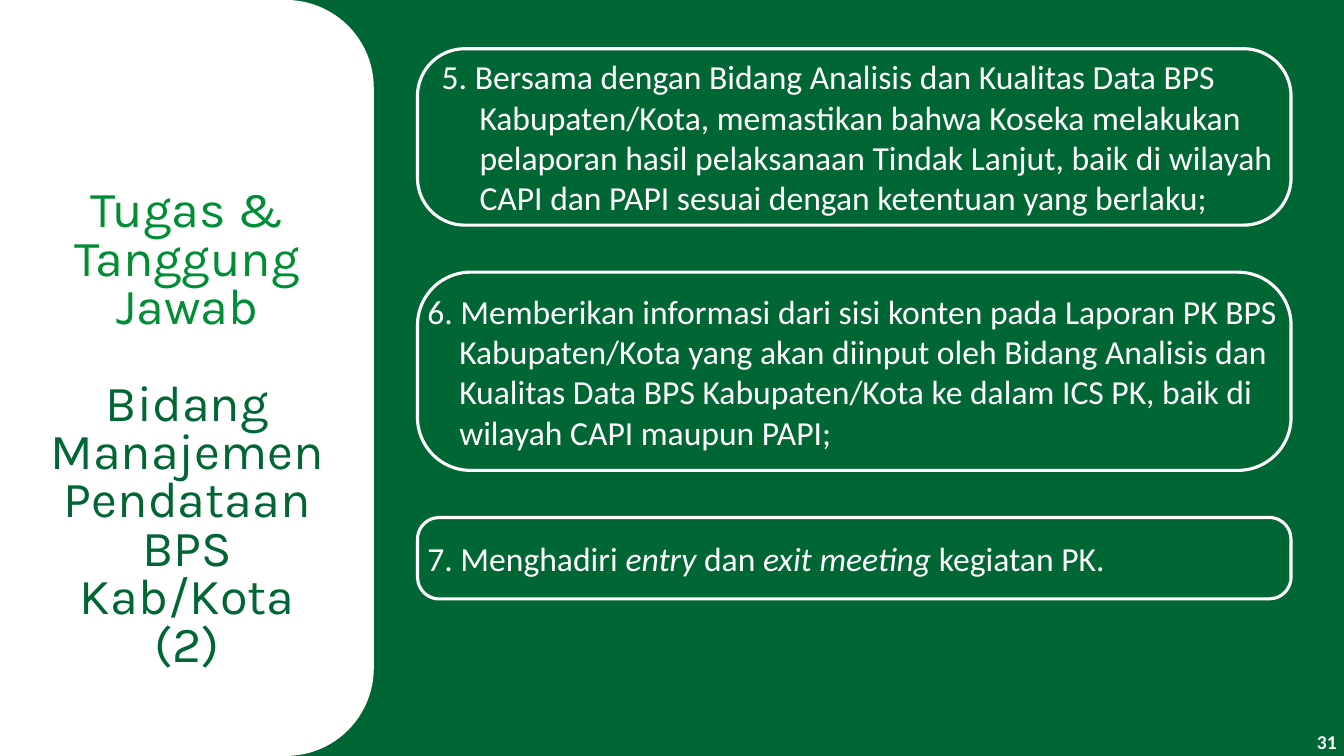
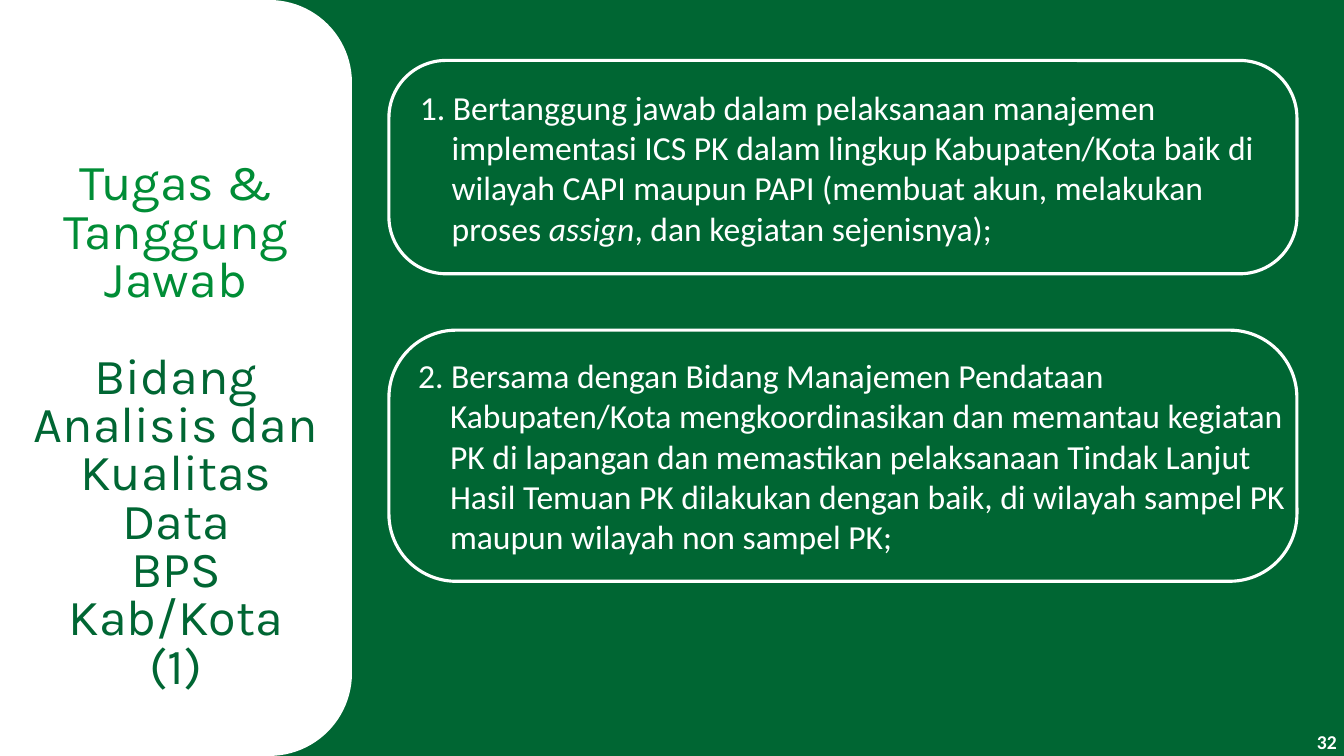
import pptx
import pptx.dml.color
import pptx.enum.shapes
import pptx.enum.text
import pptx.util

Pt = pptx.util.Pt
Shape = pptx.enum.shapes.MSO_SHAPE
Align = pptx.enum.text.PP_ALIGN
Anchor = pptx.enum.text.MSO_ANCHOR

DARK_GREEN = pptx.dml.color.RGBColor(0x00, 0x66, 0x33)
BRIGHT_GREEN = pptx.dml.color.RGBColor(0x00, 0x8D, 0x36)
WHITE = pptx.dml.color.RGBColor(0xFF, 0xFF, 0xFF)
BODY_FONT, TITLE_FONT = "Calibri", "Karla"
COLUMNS, ROWS = 160, 90
CELL = pptx.util.Inches(7.5) // ROWS
BLANK_LAYOUT = 6


def cells(count):
    """Length of a number of grid cells; cells are square."""
    return round(count * CELL)


class DutyDeck:
    def __init__(self):
        self.deck = pptx.Presentation()
        self.deck.slide_width = cells(COLUMNS)
        self.deck.slide_height = cells(ROWS)
        self.slide = None

    def new_slide(self, number):
        layout = self.deck.slide_layouts[BLANK_LAYOUT]
        self.slide = self.deck.slides.add_slide(layout)
        background = self.slide.background.fill
        background.solid()
        background.fore_color.rgb = DARK_GREEN
        self.page_number(number)

    def shape(self, preset, left, top, width, height, roundness):
        outline = self.slide.shapes.add_shape(
            preset, cells(left), cells(top), cells(width), cells(height))
        outline.shadow.inherit = False
        outline.adjustments[0] = roundness
        return outline

    def text_frame(self, left, top, width, height, anchor):
        frame = self.slide.shapes.add_textbox(
            cells(left), cells(top), cells(width), cells(height)).text_frame
        frame.word_wrap = True
        frame.vertical_anchor = anchor
        return frame

    def style(self, run, font, size, color):
        run.font.name = font
        run.font.size = Pt(size)
        run.font.color.rgb = color

    def page_number(self, number):
        frame = self.text_frame(154, 86.6, 6, 3.4, Anchor.MIDDLE)
        frame.margin_top = frame.margin_bottom = 0
        frame.margin_right = cells(0.85)
        frame.text = str(number)
        paragraph = frame.paragraphs[0]
        paragraph.alignment = Align.RIGHT
        self.style(paragraph.runs[0], BODY_FONT, 14, WHITE)
        paragraph.runs[0].font.bold = True

    def side_panel(self, width):
        """White band at the left edge, rounded on its right side."""
        panel = self.shape(Shape.ROUND_2_SAME_RECTANGLE, (width - ROWS) / 2,
                           (ROWS - width) / 2, ROWS, width, 0.235)
        panel.rotation = 90
        panel.fill.solid()
        panel.fill.fore_color.rgb = WHITE
        panel.line.fill.background()

    def title(self, left, top, width, heading, unit_lines):
        frame = self.text_frame(left, top, width, ROWS - top, Anchor.TOP)
        frame.text = "\n".join([heading, *unit_lines])
        for index, paragraph in enumerate(frame.paragraphs):
            paragraph.alignment = Align.CENTER
            paragraph.line_spacing = 0.8
            color = DARK_GREEN if index else BRIGHT_GREEN
            self.style(paragraph.runs[0], TITLE_FONT, 36, color)
        frame.paragraphs[1].space_before = Pt(34.5)

    def duty(self, left, top, width, height, text, shift, text_width, hanging):
        """Outlined box with a hanging-indent text; *...* marks italics."""
        border = self.shape(Shape.ROUNDED_RECTANGLE, left, top, width, height, 0.268)
        border.fill.background()
        border.line.color.rgb = WHITE
        border.line.width = Pt(2.25)
        frame = self.text_frame(left + shift, top, text_width, height, Anchor.MIDDLE)
        paragraph = frame.paragraphs[0]
        indent = paragraph._p.get_or_add_pPr()
        indent.set("marL", str(cells(hanging)))
        indent.set("indent", str(-cells(hanging)))
        for index, part in enumerate(text.split("*")):
            run = paragraph.add_run()
            run.text = part
            run.font.italic = index % 2 == 1
            self.style(run, BODY_FONT, 24, WHITE)

    def duties(self, left, top, width, gap, items):
        """Stack boxes downwards with equal gaps."""
        for height, *content in items:
            self.duty(left, top, width, height, *content)
            top += height + gap


def main():
    show = DutyDeck()
    heading = "Tugas & Tanggung Jawab"
    office = "BPS Kab/Kota"

    show.new_slide(31)
    show.side_panel(44.5)
    show.duties(49.7, 5.8, 104, 5.6, [
        (21, "5. Bersama dengan Bidang Analisis dan Kualitas Data BPS "
         "Kabupaten/Kota, memastikan bahwa Koseka melakukan pelaporan hasil "
         "pelaksanaan Tindak Lanjut, baik di wilayah CAPI dan PAPI sesuai "
         "dengan ketentuan yang berlaku;", 1.7, 104, 4.5),
        (23.6, "6. Memberikan informasi dari sisi konten pada Laporan PK BPS "
         "Kabupaten/Kota yang akan diinput oleh Bidang Analisis dan Kualitas "
         "Data BPS Kabupaten/Kota ke dalam ICS PK, baik di wilayah CAPI "
         "maupun PAPI;", 0, 107.5, 3.8),
        (9.7, "7. Menghadiri *entry *dan *exit meeting *kegiatan PK.",
         0, 86, 0),
    ])
    show.title(2.6, 21.9, 39.4, heading,
               ["Bidang Manajemen Pendataan", office, "(2)"])

    show.new_slide(32)
    show.side_panel(41.9)
    show.duties(46.3, 7.2, 108.1, 6.7, [
        (25.4, "1. Bertanggung jawab dalam pelaksanaan manajemen implementasi "
         "ICS PK dalam lingkup Kabupaten/Kota baik di wilayah CAPI maupun "
         "PAPI (membuat akun, melakukan proses *assign*, dan kegiatan "
         "sejenisnya);", 2.5, 104.6, 3.8),
        (29.9, "2. Bersama dengan Bidang Manajemen Pendataan Kabupaten/Kota "
         "mengkoordinasikan dan memantau kegiatan PK di lapangan dan "
         "memastikan pelaksanaan Tindak Lanjut Hasil Temuan PK dilakukan "
         "dengan baik, di wilayah sampel PK maupun wilayah non sampel PK;",
         2.3, 105.8, 3.8),
    ])
    show.title(1.4, 18.7, 39.1, heading,
               ["Bidang Analisis dan Kualitas Data", office, "(1)"])

    show.deck.save("out.pptx")


if __name__ == "__main__":
    main()
